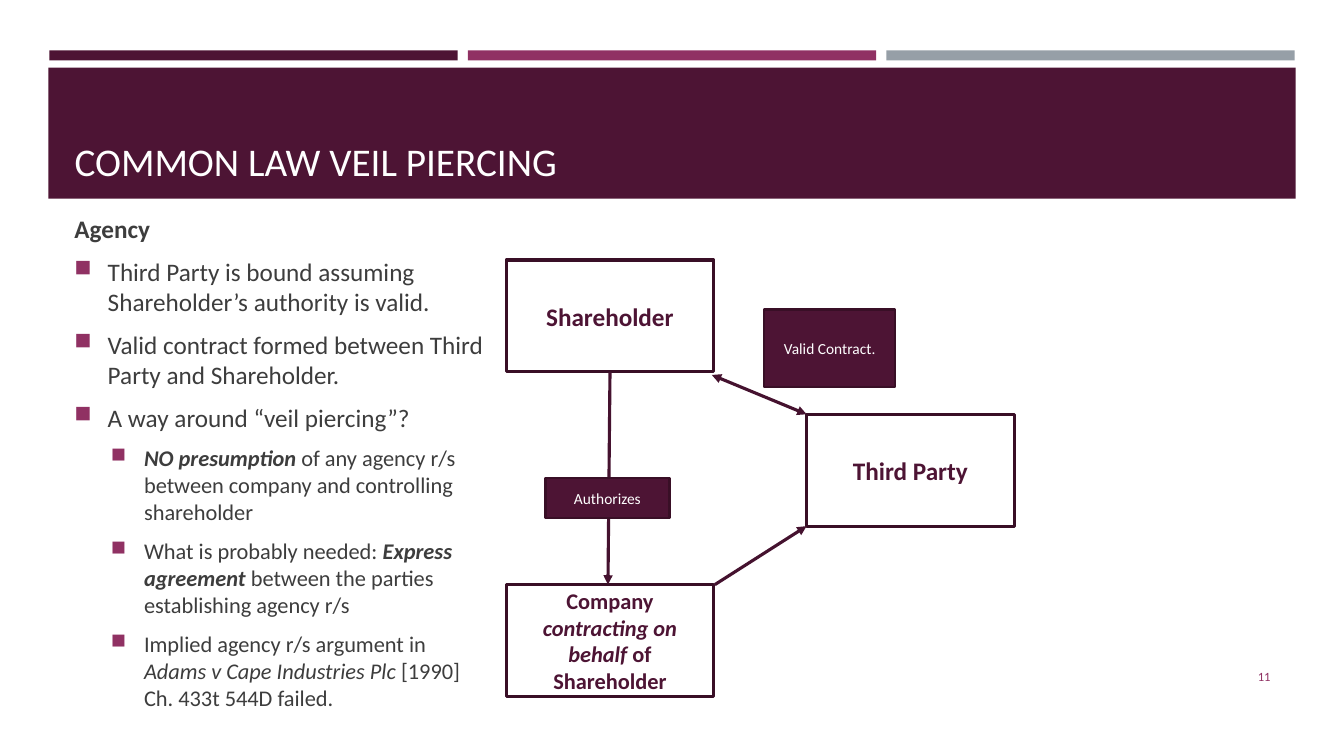
"""Build the slide on common law veil piercing through agency."""
import dataclasses
import typing

import lxml.etree
import pptx
import pptx.dml.color
import pptx.enum.shapes
import pptx.enum.text
import pptx.oxml.ns
import pptx.util

EMU_PER_PX = 9144
FONT = "Calibri"
COLOURS = {
    "plum": "4D1434", "berry": "903163", "steel": "969FA7", "white": "FFFFFF",
    "ink": "3D3D3D", "outline": "390F26", "arrow": "45122F",
}
ALIGN = pptx.enum.text.PP_ALIGN
ANCHOR = pptx.enum.text.MSO_ANCHOR


class Run(typing.NamedTuple):
    text: str
    bold: bool = False
    italic: bool = False


@dataclasses.dataclass(frozen=True)
class Box:
    left: int
    top: int
    width: int
    height: int
    fill: str
    outline: str = ""
    weight: float = 0
    runs: tuple[Run, ...] = ()
    size: int = 18
    colour: str = "plum"


@dataclasses.dataclass(frozen=True)
class Arrow:
    start: tuple[int, int]
    end: tuple[int, int]
    both_ends: bool = False


@dataclasses.dataclass(frozen=True)
class Point:
    runs: tuple[Run, ...]
    size: int = 18
    indent: int = 33


def entity(left: int, top: int, *runs: Run, size: int = 18) -> Box:
    return Box(left, top, 206, 111, "white", "outline", 2.25, runs, size)


def label(left: int, top: int, width: int, height: int, text: str) -> Box:
    return Box(left, top, width, height, "plum", "outline", 1.75, (Run(text),), 11, "white")


BANDS = [
    *(Box(49 + 415 * i, 50, 405, 10, fill) for i, fill in enumerate(("plum", "berry", "steel"))),
    Box(48, 67, 1237, 130, "plum"),
]
ENTITIES = [
    entity(502, 258, Run("Shareholder", True)),
    entity(502, 580, Run("Company ", True), Run("contracting on behalf ", True, True),
           Run("of Shareholder", True), size=16),
    entity(800, 411, Run("Third Party", True)),
]
ARROWS = [
    Arrow((605, 369), (603, 580)),
    Arrow((709, 580), (800, 522)),
    Arrow((706, 372), (800, 411), both_ends=True),
]
LABELS = [
    label(541, 474, 123, 40, "Authorizes"),
    label(758, 307, 130, 77, "Valid Contract."),
]
POINTS = [
    Point((Run("Agency", True),), indent=0),
    Point((Run("Third Party is bound assuming Shareholder’s authority is valid."),)),
    Point((Run("Valid contract formed between Third Party and Shareholder."),)),
    Point((Run("A way around “veil piercing”?"),)),
    Point((Run("NO presumption ", True, True),
           Run("of any agency r/s between company and controlling shareholder")), 16, 69),
    Point((Run("What is probably needed: "), Run("Express agreement", True, True),
           Run(" between the parties establishing agency r/s")), 16, 69),
    Point((Run("Implied agency r/s argument in "), Run("Adams v Cape Industries Plc", italic=True),
           Run(" [1990] Ch. 433t 544D failed.")), 16, 69),
]


def px(length: int) -> int:
    return length * EMU_PER_PX


def rgb(name: str) -> pptx.dml.color.RGBColor:
    return pptx.dml.color.RGBColor.from_string(COLOURS[name])


def add_element(parent, tag: str, **attributes: str):
    return lxml.etree.SubElement(parent, pptx.oxml.ns.qn(tag), attributes)


def write_runs(paragraph, runs: typing.Iterable[Run], size: int, colour: str) -> None:
    for part in runs:
        run = paragraph.add_run()
        run.text = part.text
        run.font.name = FONT
        run.font.size = pptx.util.Pt(size)
        run.font.bold = part.bold
        run.font.italic = part.italic
        run.font.color.rgb = rgb(colour)


def draw_box(slide, box: Box):
    shape = slide.shapes.add_shape(
        pptx.enum.shapes.MSO_SHAPE.RECTANGLE, *map(px, (box.left, box.top, box.width, box.height)))
    shape.shadow.inherit = False
    shape.fill.solid()
    shape.fill.fore_color.rgb = rgb(box.fill)
    if box.outline:
        shape.line.color.rgb = rgb(box.outline)
        shape.line.width = pptx.util.Pt(box.weight)
    else:
        shape.line.fill.background()
    if box.runs:
        shape.text_frame.vertical_anchor = ANCHOR.MIDDLE
        paragraph = shape.text_frame.paragraphs[0]
        paragraph.alignment = ALIGN.CENTER
        write_runs(paragraph, box.runs, box.size, box.colour)
    return shape


def draw_arrow(slide, arrow: Arrow) -> None:
    connector = slide.shapes.add_connector(
        pptx.enum.shapes.MSO_CONNECTOR.STRAIGHT, *map(px, arrow.start + arrow.end))
    connector.line.color.rgb = rgb("arrow")
    connector.line.width = pptx.util.Pt(2.25)
    properties = connector.element.spPr
    line = properties.find(pptx.oxml.ns.qn("a:ln"))
    if arrow.both_ends:
        add_element(line, "a:headEnd", type="triangle")
    add_element(line, "a:tailEnd", type="triangle")
    add_element(properties, "a:effectLst")


def draw_points(slide, points: list[Point]) -> None:
    frame = slide.shapes.add_textbox(*map(px, (64, 207, 428, 511))).text_frame
    frame.word_wrap = True
    for i, point in enumerate(points):
        paragraph = frame.add_paragraph() if i else frame.paragraphs[0]
        if point.indent:
            properties = paragraph._p.get_or_add_pPr()
            properties.set("marL", str(px(point.indent)))
            properties.set("indent", str(px(-33)))
            add_element(add_element(properties, "a:buClr"), "a:srgbClr", val=COLOURS["berry"])
            add_element(properties, "a:buSzPct", val="92000")
            add_element(properties, "a:buChar", char="■")
        if i:
            paragraph.space_before = pptx.util.Pt(2.8)
        paragraph.space_after = pptx.util.Pt(6)
        write_runs(paragraph, point.runs, point.size, "ink")


def draw_header(slide) -> None:
    title = slide.shapes.title
    for band in BANDS:
        title.element.addprevious(draw_box(slide, band).element)
    title.left, title.top, title.width, title.height = map(px, (64, 77, 1206, 111))
    frame = title.text_frame
    frame.auto_size = pptx.enum.text.MSO_AUTO_SIZE.NONE
    frame.vertical_anchor = ANCHOR.BOTTOM
    frame.paragraphs[0].alignment = ALIGN.LEFT
    write_runs(frame.paragraphs[0], [Run("COMMON LAW VEIL PIERCING")], 28, "white")


def draw_page_number(slide) -> None:
    frame = slide.shapes.add_textbox(*map(px, (1155, 651, 115, 40))).text_frame
    frame.word_wrap = True
    frame.vertical_anchor = ANCHOR.MIDDLE
    frame.paragraphs[0].alignment = ALIGN.RIGHT
    write_runs(frame.paragraphs[0], [Run("11")], 9, "berry")


def main() -> None:
    deck = pptx.Presentation()
    deck.slide_width, deck.slide_height = px(1333), px(750)
    slide = deck.slides.add_slide(deck.slide_layouts.get_by_name("Title Only"))
    draw_header(slide)
    draw_points(slide, POINTS)
    draw_page_number(slide)
    for box in ENTITIES:
        draw_box(slide, box)
    for arrow in ARROWS:
        draw_arrow(slide, arrow)
    for box in LABELS:
        draw_box(slide, box)
    deck.save("out.pptx")


if __name__ == "__main__":
    main()
